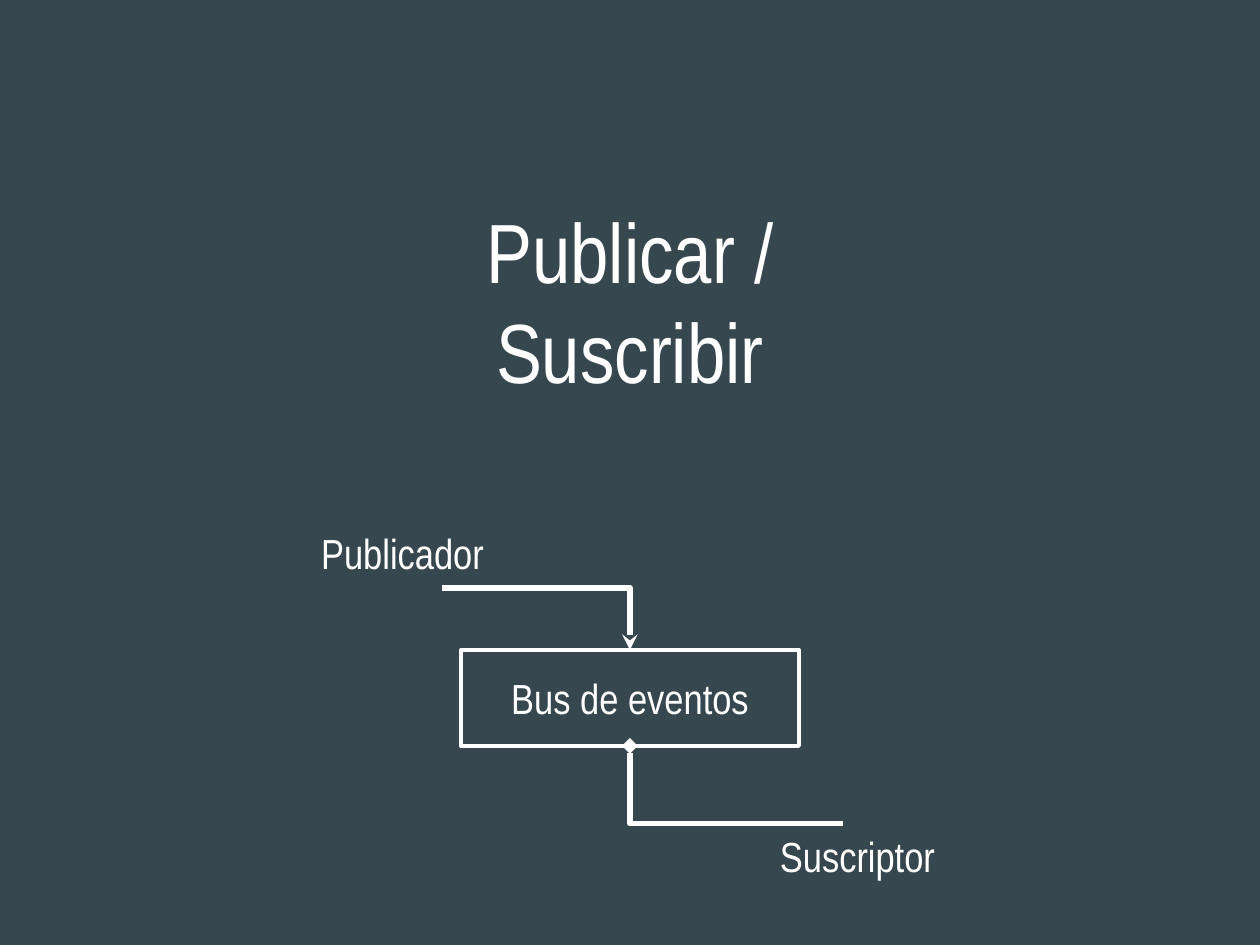
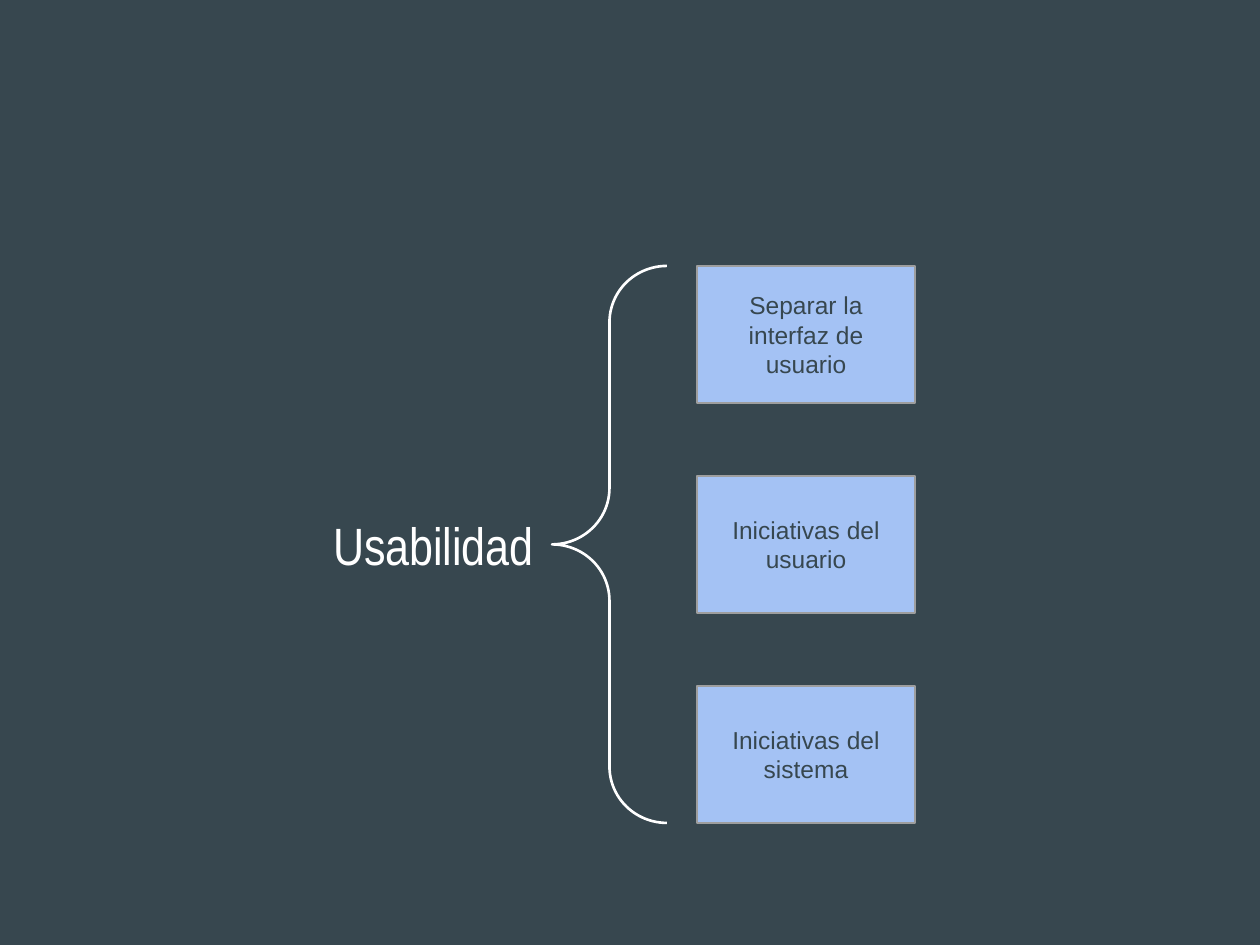
from lxml.etree import SubElement
from pptx import Presentation
from pptx.dml.color import RGBColor
from pptx.enum.shapes import MSO_CONNECTOR, MSO_SHAPE
from pptx.enum.text import MSO_ANCHOR, PP_ALIGN
from pptx.oxml.ns import qn
from pptx.util import Emu, Pt

SCALE = 914400 / 126
SLIDE_SIZE = (1260, 945)
INSET = 13

SLATE = "37474F"
WHITE = "FFFFFF"
SKY = "A4C2F4"
GREY = "9E9E9E"
NARROW = "Arial Narrow"
SANS = "Arial"

PATTERN_TITLE = ("Publicar / Suscribir", (372, 186, 516, 347))
ROLES = [
    ("Publicador", (277, 513, 251, 79)),
    ("Suscriptor", (732, 816, 251, 79)),
]
BUS = ("Bus de eventos", (461, 650, 338, 96))
LINKS = [
    ((442, 588), 0, "stealth"),
    ((843, 824), 2, "diamond"),
]

QUALITY = ("Usabilidad", (320, 500, 233, 96))
TACTICS = [
    "Separar la interfaz de usuario",
    "Iniciativas del usuario",
    "Iniciativas del sistema",
]
BRACE = (552, 266, 115, 557)
TACTIC_LEFT, TACTIC_WIDTH, TACTIC_HEIGHT = 697, 218, 137


def px(n):
    return Emu(round(n * SCALE))


def rgb(color):
    return RGBColor.from_string(color)


def write(sp, text, size, font=NARROW, color=WHITE,
          align=PP_ALIGN.CENTER, anchor=MSO_ANCHOR.MIDDLE):
    tf = sp.text_frame
    tf.word_wrap = True
    tf.vertical_anchor = anchor
    tf.margin_left = tf.margin_right = px(INSET)
    tf.margin_top = tf.margin_bottom = px(INSET)
    tf.text = text
    p = tf.paragraphs[0]
    p.alignment = align
    r = p.runs[0]
    r.font.size = Pt(size)
    r.font.name = font
    r.font.color.rgb = rgb(color)


def add_text(s, text, box, size, **style):
    write(s.shapes.add_textbox(*map(px, box)), text, size, **style)


def add_outline(s, kind, box, line, width, fill=None):
    sp = s.shapes.add_shape(kind, *map(px, box))
    sp.shadow.inherit = False
    if fill:
        sp.fill.solid()
        sp.fill.fore_color.rgb = rgb(fill)
    else:
        sp.fill.background()
    sp.line.color.rgb = rgb(line)
    sp.line.width = Pt(width)
    return sp


def add_link(s, start, bus, site, arrow):
    left, top, width, height = BUS[1]
    end = (left + width / 2, top if site == 0 else top + height)
    link = s.shapes.add_connector(MSO_CONNECTOR.ELBOW, *map(px, start + end))
    link.end_connect(bus, site)
    link.line.color.rgb = rgb(WHITE)
    link.line.width = Pt(3)
    sp_pr = link._element.spPr
    sp_pr.find(qn("a:prstGeom")).set("prst", "bentConnector2")
    SubElement(sp_pr.find(qn("a:ln")), qn("a:tailEnd"), type=arrow)
    SubElement(sp_pr, qn("a:effectLst"))


def add_slide(prs):
    s = prs.slides.add_slide(prs.slide_layouts[6])
    s.background.fill.solid()
    s.background.fill.fore_color.rgb = rgb(SLATE)
    return s


def build_publish_subscribe(prs):
    s = add_slide(prs)
    add_text(s, *PATTERN_TITLE, 48, anchor=MSO_ANCHOR.TOP)
    text, box = BUS
    bus = add_outline(s, MSO_SHAPE.RECTANGLE, box, WHITE, 2.25)
    write(bus, text, 24)
    for start, site, arrow in LINKS:
        add_link(s, start, bus, site, arrow)
    for text, box in ROLES:
        add_text(s, text, box, 24)


def build_usability(prs):
    s = add_slide(prs)
    add_text(s, *QUALITY, 30, align=PP_ALIGN.LEFT, anchor=MSO_ANCHOR.TOP)
    brace = add_outline(s, MSO_SHAPE.LEFT_BRACE, BRACE, WHITE, 1.5)
    brace.adjustments[0] = 0.49
    brace.adjustments[1] = 0.5
    top, height = BRACE[1], BRACE[3]
    step = (height - TACTIC_HEIGHT) / (len(TACTICS) - 1)
    for i, text in enumerate(TACTICS):
        box = (TACTIC_LEFT, top + i * step, TACTIC_WIDTH, TACTIC_HEIGHT)
        sp = add_outline(s, MSO_SHAPE.RECTANGLE, box, GREY, 0.75, SKY)
        write(sp, text, 14, font=SANS, color=SLATE)


def main():
    prs = Presentation()
    prs.slide_width, prs.slide_height = map(px, SLIDE_SIZE)
    build_publish_subscribe(prs)
    build_usability(prs)
    prs.save("out.pptx")


if __name__ == "__main__":
    main()
